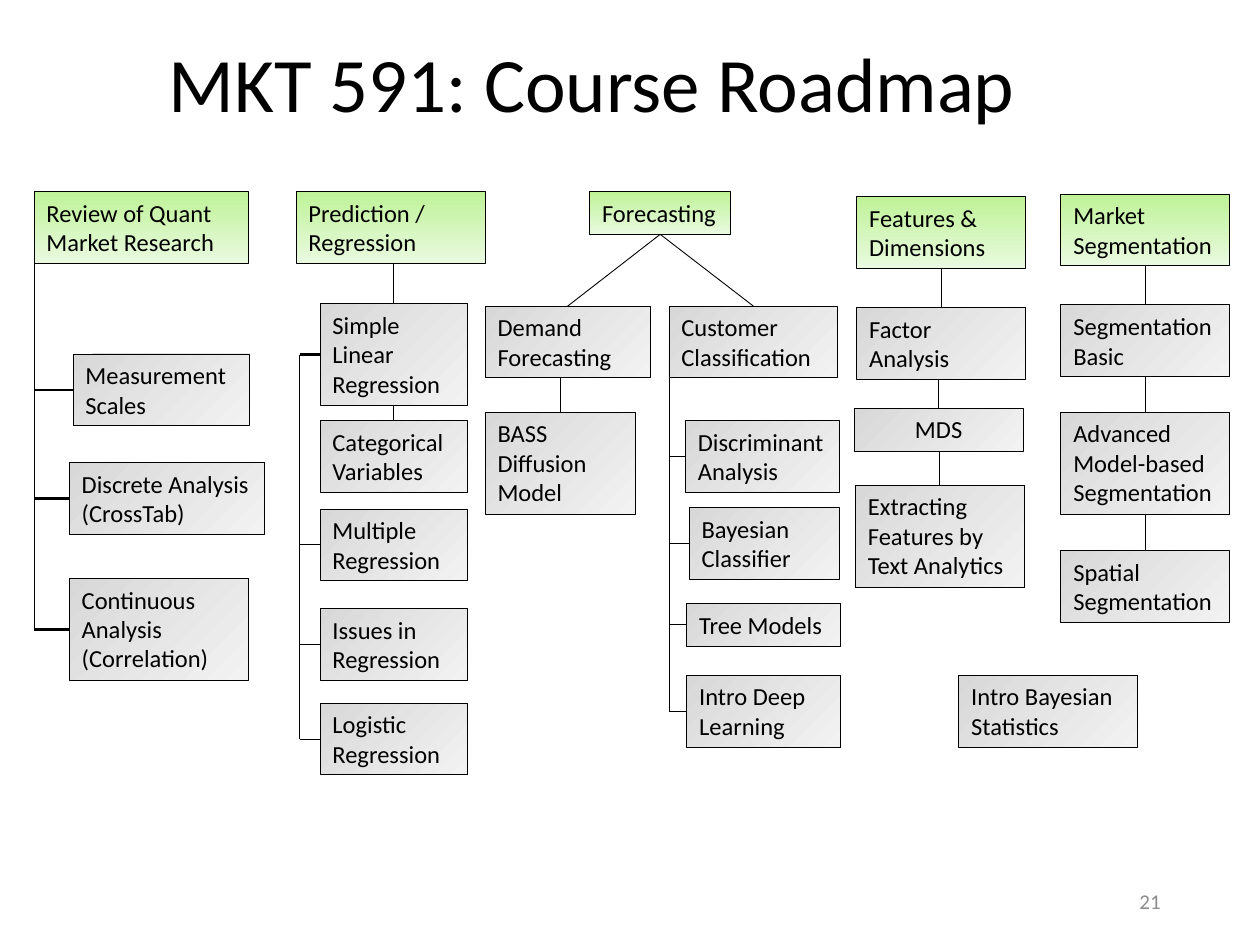
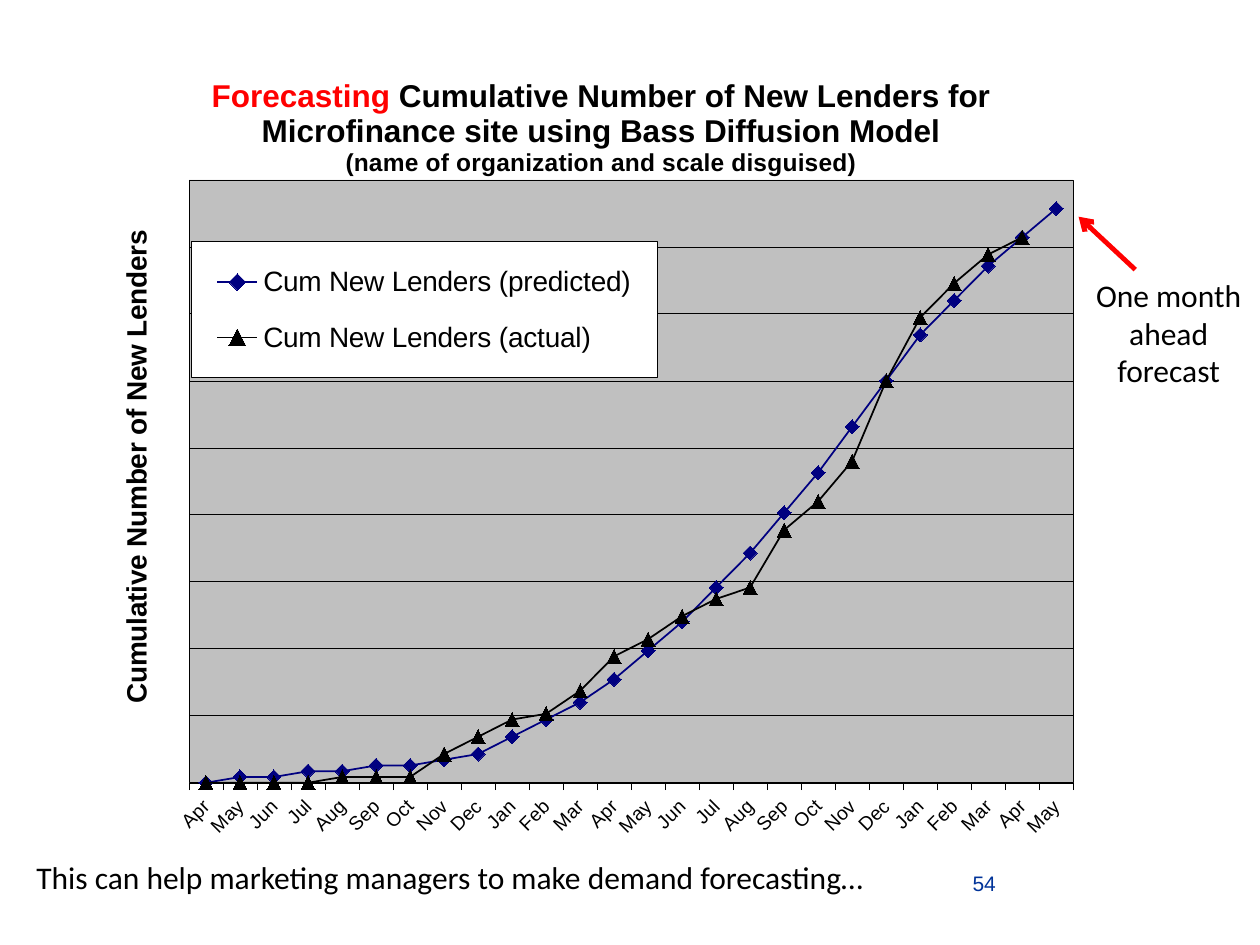
from lxml import etree
from pptx import Presentation
from pptx.chart.data import CategoryChartData
from pptx.dml.color import RGBColor
from pptx.enum import chart as ch, shapes, text
from pptx.oxml import parse_xml
from pptx.oxml.ns import nsdecls, qn
from pptx.util import Inches, Pt

COLORS = {
    "ink": "000000", "page": "8C8C8C", "page_blue": "003399", "red": "FF0000",
    "navy": "000080", "plot": "C0C0C0", "white": "FFFFFF",
    "topic_top": "BEF297", "topic_end": "EAFAE0",
    "step_top": "D8D8D8", "step_end": "F2F2F2",
}
LEFT, CENTER, RIGHT = (text.PP_ALIGN.LEFT, text.PP_ALIGN.CENTER, text.PP_ALIGN.RIGHT)
MONTHS = "Jan Feb Mar Apr May Jun Jul Aug Sep Oct Nov Dec".split()
PREDICTED = [0, 1, 1, 2, 2, 3, 3, 4, 5, 8, 11, 14, 18, 23, 28, 34, 40, 47, 54,
             62, 70, 78, 84, 90, 95, 100]
ACTUAL = [0, 0, 0, 0, 1, 1, 1, 5, 8, 11, 12, 16, 22, 25, 29, 32, 34, 44, 49,
          56, 70, 81, 87, 92, 95, None]


def rgb(name):
    return RGBColor.from_string(COLORS[name])


def style(font, size, color="ink", name="Calibri", bold=False):
    font.size, font.name, font.bold = Pt(size), name, bold
    font.color.rgb = rgb(color)


def add_text(s, box, words, size, color="ink", name="Calibri", align=LEFT,
             anchor=text.MSO_ANCHOR.TOP):
    tf = s.shapes.add_textbox(*map(Inches, box)).text_frame
    tf.word_wrap, tf.vertical_anchor = True, anchor
    p = tf.paragraphs[0]
    p.text, p.alignment = words, align
    style(p.font, size, color, name)
    return p


def add_page_number(s, box, number, color, name, align=LEFT):
    add_text(s, box, number, 12, color, name, align, text.MSO_ANCHOR.MIDDLE)


def add_line(s, x1, y1, x2, y2, width=0.5, color="ink"):
    line = s.shapes.add_connector(shapes.MSO_CONNECTOR.STRAIGHT,
                                  *map(Inches, (x1, y1, x2, y2)))
    line.line.width = Pt(width)
    line.line.color.rgb = rgb(color)
    etree.SubElement(line._element.spPr, qn("a:effectLst"))
    return line


def add_box(s, words, box, kind="step", align=LEFT):
    sp = s.shapes.add_shape(shapes.MSO_SHAPE.RECTANGLE, *map(Inches, box))
    sp.shadow.inherit = False
    sp.fill.gradient()
    sp.fill.gradient_angle = 270 if kind == "topic" else 315
    for stop, end in zip(sp.fill.gradient_stops, ("top", "end")):
        stop.color.rgb = rgb(f"{kind}_{end}")
    sp.line.width = Pt(0.5)
    sp.line.color.rgb = rgb("ink")
    tf = sp.text_frame
    tf.word_wrap, tf.vertical_anchor = True, text.MSO_ANCHOR.TOP
    p = tf.paragraphs[0]
    p.text, p.alignment = words, align
    style(p.font, 14)
    return box


def chain(s, *boxes):
    for upper, lower in zip(boxes, boxes[1:]):
        x = lower[0] + lower[2] / 2
        add_line(s, x, upper[1] + upper[3], x, lower[1])


def rail(s, x, top, boxes, heavy=()):
    middles = [box[1] + box[3] / 2 for box in boxes]
    add_line(s, x, top, x, middles[-1])
    for box, y in zip(boxes, middles):
        add_line(s, x, y, box[0], y, 1.5 if box in heavy else 0.5)


def add_column(s, left, top, topic, width, height, steps):
    head = add_box(s, topic, (left, top, width, height), "topic")
    return head, [add_box(s, words, (left + dx, top + dy, w, h), align=align)
                  for words, dx, dy, w, h, align in steps]


def review_column(s, left, top):
    head, steps = add_column(s, left, top, "Review of Quant Market Research", 1.7, 0.57, [
        ("Measurement Scales", 0.31, 1.29, 1.4, 0.57, LEFT),
        ("Discrete Analysis (CrossTab)", 0.28, 2.15, 1.55, 0.57, LEFT),
        ("Continuous Analysis (Correlation)", 0.28, 3.07, 1.42, 0.81, LEFT)])
    rail(s, left, top + head[3], steps, heavy=steps)


def regression_column(s, left, top):
    head, steps = add_column(s, left, top, "Prediction / Regression", 1.5, 0.57, [
        (words, 0.19, dy, 1.17, h, LEFT) for words, dy, h in (
            ("Simple Linear Regression", 0.89, 0.81),
            ("Categorical Variables", 1.82, 0.57),
            ("Multiple Regression", 2.52, 0.57),
            ("Issues in Regression", 3.31, 0.57),
            ("Logistic Regression", 4.06, 0.57))])
    simple, categorical, *others = steps
    chain(s, head, simple, categorical)
    rail(s, left + 0.03, simple[1] + simple[3] / 2, [simple, *others], heavy=[simple])


def forecasting_column(s, left, top):
    head, steps = add_column(s, left + 0.83, top, "Forecasting", 1.12, 0.34, [
        (words, dx - 0.83, dy, w, h, LEFT) for words, dx, dy, w, h in (
            ("Demand Forecasting", 0, 0.91, 1.31, 0.57),
            ("BASS Diffusion Model", 0, 1.75, 1.19, 0.81),
            ("Customer Classification", 1.46, 0.91, 1.34, 0.57),
            ("Discriminant Analysis", 1.59, 1.82, 1.22, 0.57),
            ("Bayesian Classifier", 1.62, 2.51, 1.19, 0.57),
            ("Tree Models", 1.6, 3.27, 1.22, 0.34),
            ("Intro Deep Learning", 1.6, 3.84, 1.22, 0.57))])
    demand, bass, customer, *methods = steps
    for branch in (demand, customer):
        add_line(s, head[0] + head[2] / 2, top + head[3],
                 branch[0] + branch[2] / 2, branch[1])
    chain(s, demand, bass)
    rail(s, customer[0], customer[1] + customer[3], methods)


def features_column(s, left, top):
    head, steps = add_column(s, left, top, "Features & Dimensions", 1.34, 0.57, [
        ("Factor Analysis", 0, 0.88, 1.34, 0.57, LEFT),
        ("MDS", -0.02, 1.68, 1.34, 0.34, CENTER),
        ("Extracting Features by Text Analytics", -0.01, 2.29, 1.34, 0.81, LEFT)])
    chain(s, head, *steps)


def segmentation_column(s, left, top):
    head, steps = add_column(s, left, top, "Market Segmentation", 1.34, 0.57, [
        ("Segmentation Basic", 0, 0.88, 1.34, 0.57, LEFT),
        ("Advanced Model-based Segmentation", 0, 1.73, 1.34, 0.81, LEFT),
        ("Spatial Segmentation", 0, 2.83, 1.34, 0.57, LEFT)])
    chain(s, head, *steps)


def roadmap_slide(prs):
    s = prs.slides.add_slide(prs.slide_layouts[6])
    title = add_text(s, (1.24, -0.03, 7.27, 1.45), "MKT 591: Course Roadmap", 44,
                     anchor=text.MSO_ANCHOR.MIDDLE)
    title.line_spacing = 0.9
    review_column(s, 0.27, 1.52)
    regression_column(s, 2.35, 1.52)
    forecasting_column(s, 3.85, 1.52)
    features_column(s, 6.8, 1.56)
    segmentation_column(s, 8.42, 1.54)
    add_box(s, "Intro Bayesian Statistics", (7.61, 5.36, 1.42, 0.57))
    add_page_number(s, (7.06, 6.95, 2.25, 0.4), "21", "page", "Calibri", RIGHT)


def set_layout(element, index, inner=False, **place):
    for old in element.findall(qn("c:layout")):
        element.remove(old)
    target = '<c:layoutTarget val="inner"/>' if inner else ""
    modes = "".join(f'<c:{k}Mode val="edge"/>' for k in "xy")
    sizes = "".join(f'<c:{k} val="{v}"/>' for k, v in place.items())
    element.insert(index, parse_xml(
        f'<c:layout {nsdecls("c")}><c:manualLayout>{target}{modes}{sizes}'
        '</c:manualLayout></c:layout>'))


def framed(fill):
    return parse_xml(
        f'<c:spPr {nsdecls("c", "a")}><a:solidFill><a:srgbClr val="{COLORS[fill]}"/>'
        f'</a:solidFill><a:ln w="6350"><a:solidFill><a:srgbClr val="{COLORS["ink"]}"/>'
        '</a:solidFill></a:ln></c:spPr>')


def add_chart_title(chart):
    tf = chart.chart_title.text_frame
    heading = tf.paragraphs[0]
    for words, color in (("Forecasting", "red"),
                         (" Cumulative Number of New Lenders for Microfinance site "
                          "using Bass Diffusion Model", "ink")):
        r = heading.add_run()
        r.text = words
        style(r.font, 18, color, "Arial", True)
    r = tf.add_paragraph().add_run()
    r.text = "(name of organization and scale disguised)"
    style(r.font, 14, name="Arial", bold=True)
    set_layout(chart.chart_title._element, 1, x=0.165, y=0.01)


def style_axes(chart):
    months, lenders = chart.category_axis, chart.value_axis
    style(months.tick_labels.font, 11, name="Arial")
    months._element.txPr.bodyPr.set("rot", "-2700000")
    months.major_tick_mark = ch.XL_TICK_MARK.OUTSIDE
    lenders.minimum_scale, lenders.maximum_scale = 0, 105
    lenders.major_unit = 11.67
    lenders.major_tick_mark = ch.XL_TICK_MARK.NONE
    lenders.tick_label_position = ch.XL_TICK_LABEL_POSITION.NONE
    lenders.format.line.fill.background()
    for line in (months.format.line, lenders.major_gridlines.format.line):
        line.width = Pt(0.25)
        line.color.rgb = rgb("ink")
    tf = lenders.axis_title.text_frame
    tf._txBody.bodyPr.set("rot", "-5400000")
    r = tf.paragraphs[0].add_run()
    r.text = "Cumulative Number of New Lenders"
    style(r.font, 16, name="Arial", bold=True)
    set_layout(lenders.axis_title._element, 1, x=0.08, y=0.2)


def style_series(series, color, marker):
    series.smooth = False
    series.format.line.width = Pt(1)
    series.format.line.color.rgb = rgb(color)
    series.marker.style, series.marker.size = marker, 8
    series.marker.format.fill.solid()
    series.marker.format.fill.fore_color.rgb = rgb(color)
    series.marker.format.line.color.rgb = rgb(color)


def add_lender_chart(s, box):
    data = CategoryChartData()
    data.categories = [MONTHS[(i + 3) % 12] for i in range(len(PREDICTED))]
    data.add_series("Cum New Lenders (predicted)", PREDICTED)
    data.add_series("Cum New Lenders (actual)", ACTUAL)
    chart = s.shapes.add_chart(ch.XL_CHART_TYPE.LINE_MARKERS, *map(Inches, box), data).chart
    style(chart.font, 11, name="Arial")
    add_chart_title(chart)
    style_axes(chart)
    plot = chart.plots[0]
    plot.vary_by_categories = False
    for series, look in zip(plot.series, (("navy", ch.XL_MARKER_STYLE.DIAMOND),
                                          ("ink", ch.XL_MARKER_STYLE.TRIANGLE))):
        style_series(series, *look)
    area = chart._chartSpace.chart.plotArea
    set_layout(area, 0, True, x=0.148, y=0.144, w=0.793, h=0.75)
    area.append(framed("plot"))
    chart.has_legend = True
    legend = chart.legend
    legend.position = ch.XL_LEGEND_POSITION.RIGHT
    legend.include_in_layout = False
    style(legend.font, 16, name="Arial")
    set_layout(legend._element, 1, x=0.15, y=0.221, w=0.418, h=0.169)
    legend._element.find(qn("c:txPr")).addprevious(framed("white"))


def forecast_slide(prs):
    s = prs.slides.add_slide(prs.slide_layouts[6])
    add_page_number(s, (7.62, 6.76, 2.08, 0.5), "54", "page_blue", "Arial")
    add_lender_chart(s, (0.19, 0.51, 8.85, 6.38))
    add_text(s, (8.43, 2.14, 1.69, 1.72), "One month ahead forecast", 18, align=CENTER)
    arrow = add_line(s, 9.01, 2.14, 8.56, 1.72, 2.75, "red")
    etree.SubElement(arrow.line._get_or_add_ln(), qn("a:tailEnd"), type="arrow")
    add_text(s, (0.19, 6.76, 7.59, 0.4),
             "This can help marketing managers to make demand forecasting…", 18)


def main():
    prs = Presentation()
    prs.slide_width, prs.slide_height = Inches(10), Inches(7.5)
    roadmap_slide(prs)
    forecast_slide(prs)
    prs.save("out.pptx")


if __name__ == "__main__":
    main()
